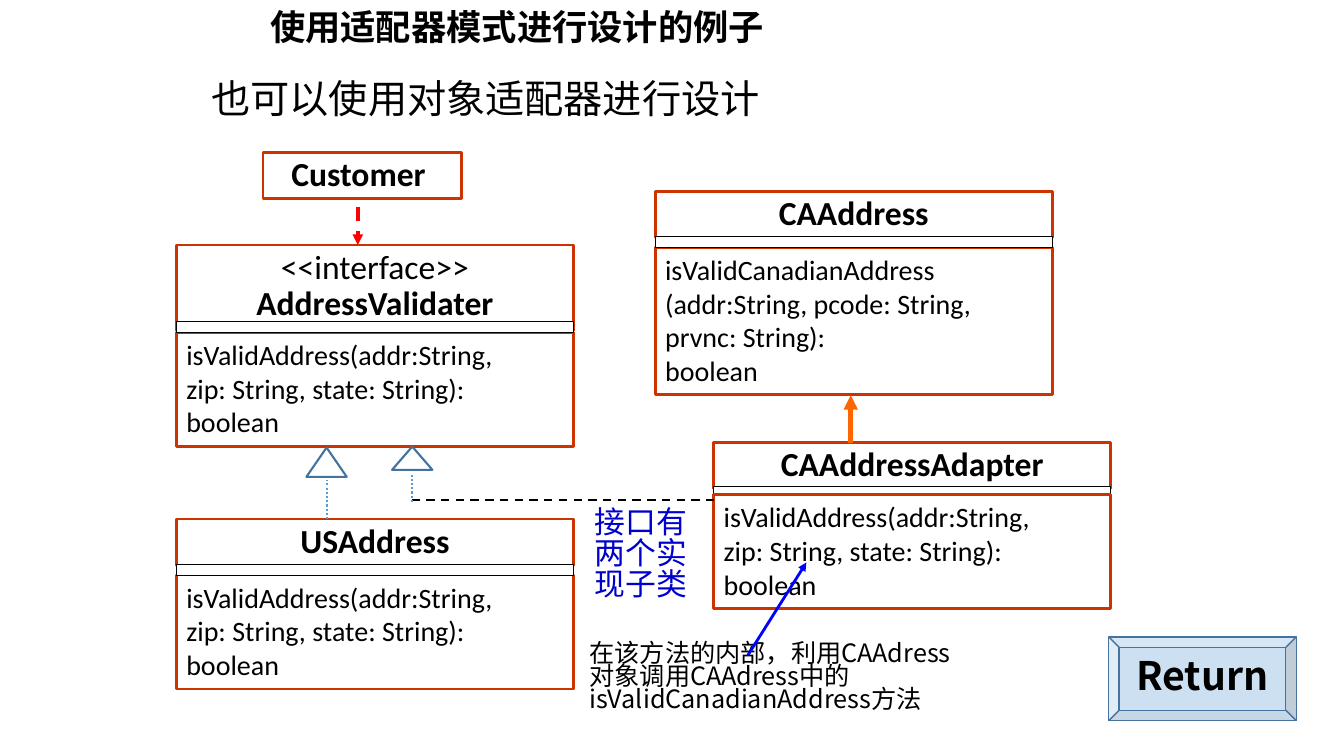
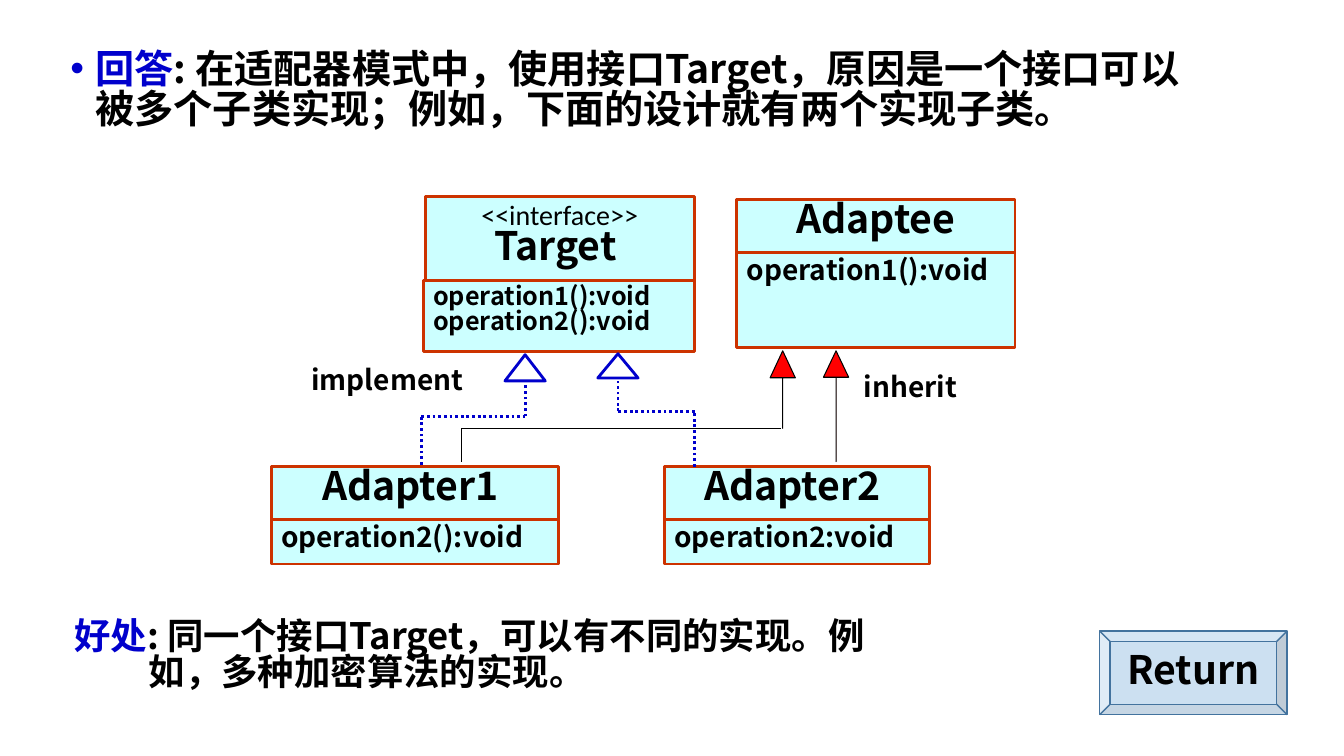
from dataclasses import dataclass
from itertools import pairwise

from lxml import etree
from pptx import Presentation
from pptx.dml.color import RGBColor
from pptx.enum import dml, shapes, text
from pptx.oxml import ns
from pptx.util import Pt


@dataclass(frozen=True)
class Theme:
    # Colours
    black: str = "000000"
    white: str = "FFFFFF"
    frame: str = "CC3300"
    cyan: str = "CCFFFF"
    blue: str = "0000CC"
    bright_blue: str = "0000FF"
    red: str = "FF0000"
    orange: str = "FF6600"
    button: str = "5B9BD5"
    button_edge: str = "43739E"
    # Fonts
    latin: str = "Calibri"
    chinese: str = "Noto Sans CJK SC"
    # Type sizes
    title: float = 25.2
    heading: float = 28
    benefit: float = 26
    name: float = 24
    remark: float = 22
    code: float = 20
    small: float = 18
    # Line spacing: the Chinese face has tall lines, so it is set tighter
    tight: float = 0.9
    chinese_leading: float = 0.84


T = Theme()
SHAPE = shapes.MSO_SHAPE
DASH = dml.MSO_LINE.DASH
DOT = dml.MSO_LINE.ROUND_DOT


def rgb(value):
    return RGBColor.from_string(value)


def sub(parent, tag, **attributes):
    return etree.SubElement(parent, ns.qn(tag), attributes)


# Text
def write(shape, paragraphs, size=T.code, font=T.latin, color=T.black, bold=False,
          align=text.PP_ALIGN.LEFT, spacing=1, anchor=text.MSO_ANCHOR.TOP,
          margin=0, hang=0, bullet=None):
    """Each paragraph is a string or a list of (string, format changes)."""
    frame = shape.text_frame
    frame.word_wrap = True
    frame.vertical_anchor = anchor
    frame.margin_left = frame.margin_right = Pt(7.2)
    frame.margin_top = frame.margin_bottom = Pt(3.6)
    for index, content in enumerate(paragraphs):
        paragraph = frame.add_paragraph() if index else frame.paragraphs[0]
        paragraph.alignment = align
        runs = [(content, {})] if isinstance(content, str) else content
        faces = [changes.get("font", font) for _, changes in runs]
        leading = T.chinese_leading if T.chinese in faces else 1
        paragraph.line_spacing = round(spacing * leading, 2)
        props = paragraph._p.get_or_add_pPr()
        if margin:
            props.set("marL", str(Pt(margin)))
            props.set("indent", str(-Pt(hang if index == 0 else 0)))
        if bullet:
            sub(props, "a:buFont", typeface="Arial")
            sub(props, "a:buChar", char=bullet)
        for words, changes in runs:
            style = dict(size=size, font=font, color=color, bold=bold) | changes
            run = paragraph.add_run()
            run.text = words
            run.font.size = Pt(style["size"])
            run.font.bold = style["bold"]
            run.font.name = style["font"]
            run.font.color.rgb = rgb(style["color"])
            sub(run._r.get_or_add_rPr(), "a:ea", typeface=T.chinese)
    return shape


def label(slide, box, paragraphs, **style):
    return write(slide.shapes.add_textbox(*map(Pt, box)), paragraphs, **style)


# Shapes and lines
def block(slide, box, kind=SHAPE.RECTANGLE, fill=T.white, line=T.frame, width=2):
    shape = slide.shapes.add_shape(kind, *map(Pt, box))
    shape.shadow.inherit = False
    if fill:
        shape.fill.solid()
        shape.fill.fore_color.rgb = rgb(fill)
    else:
        shape.fill.background()
    shape.line.color.rgb = rgb(line)
    shape.line.width = Pt(width)
    return shape


def route(slide, points, color=T.black, width=0.75, dash=None, arrow=False):
    """Straight connectors through the points, with an optional final arrowhead."""
    for start, end in pairwise(points):
        link = slide.shapes.add_connector(
            shapes.MSO_CONNECTOR.STRAIGHT, *map(Pt, start + end))
        link.line.color.rgb = rgb(color)
        link.line.width = Pt(width)
        if dash:
            link.line.dash_style = dash
        sub(link._element.spPr, "a:effectLst")
    if arrow:
        sub(link.line._get_or_add_ln(), "a:tailEnd", type="triangle")


def realization(slide, tip, height, points, color, line, width):
    """Hollow triangle under the tip, with a dotted route leading up to it."""
    x, y = tip
    block(slide, (x - 14.4, y, 28.8, height), SHAPE.FLOWCHART_EXTRACT,
          fill=None, line=line, width=width)
    route(slide, points + [(x, y + height + 2)], color, width, DOT)


def inheritance(slide, x, height, head):
    arrow = block(slide, (x - 9, 250.6, 18, height), SHAPE.UP_ARROW,
                  fill=T.red, line=T.black, width=0.75)
    arrow.adjustments[0] = 0
    arrow.adjustments[1] = head


def return_button(slide, x, y):
    button = block(slide, (x, y, 133.9, 59.8), SHAPE.BEVEL,
                   fill=T.button, line=T.button_edge, width=1)
    color = button._element.spPr.find(ns.qn("a:solidFill"))[0]
    sub(color, "a:alpha", val="31000")
    write(button, ["Return"], size=T.heading, font=T.chinese, bold=True,
          align=text.PP_ALIGN.CENTER, anchor=text.MSO_ANCHOR.MIDDLE)


# Class boxes
def name_box(slide, box, lines, fill=T.white, **style):
    write(block(slide, box, fill=fill), lines, align=text.PP_ALIGN.CENTER,
          spacing=T.tight, **dict(size=T.name, bold=True) | style)


def divided_class(slide, x, y, name, operations, name_height=33.1, divider=32.4,
                  operations_top=40, operations_height=81.4, operations_in_front=False):
    """Class with a narrow empty compartment between name and operations."""
    width = 283.7

    def draw_operations():
        box = (x, y + operations_top, width, operations_height)
        write(block(slide, box), operations)

    if not operations_in_front:
        draw_operations()
    name_box(slide, (x, y, width, name_height), name)
    block(slide, (x, y + divider, width, 7.9), line=T.black, width=0.75)
    if operations_in_front:
        draw_operations()


def tinted_class(slide, x, y, width, name, operations, name_height=37.8,
                 operations_height=31.7, size=T.code, outset=0):
    """Class with two compartments; outset widens the lower one to the left."""
    box = (x - outset, y + name_height, width + outset, operations_height)
    write(block(slide, box, fill=T.cyan), operations,
          size=size, font=T.chinese, bold=True)
    name_box(slide, (x, y, width, name_height), name, fill=T.cyan,
             size=T.heading, font=T.chinese)


# Slides
def object_adapter_slide(slide):
    label(slide, (185.8, 5.8, 606.2, 30.2), ["使用适配器模式进行设计的例子"],
          size=T.title, bold=True, spacing=T.tight, anchor=text.MSO_ANCHOR.MIDDLE)
    label(slide, (144, 56.9, 444.2, 37.4), ["也可以使用对象适配器进行设计"],
          size=T.heading, font=T.chinese, spacing=T.tight)

    # Classes
    validation = ["isValidAddress(addr:String,", "zip: String, state: String):", "boolean"]
    name_box(slide, (187.9, 108.7, 141.8, 33.1), ["Customer "])
    divided_class(slide, 126, 370.8, ["USAddress"], validation)
    divided_class(slide, 468, 136.8, ["CAAddress"],
                  ["isValidCanadianAddress",
                   "(addr:String, pcode: String, prvnc: String):", "boolean"],
                  operations_height=105.1)
    divided_class(slide, 509.8, 316.1, ["CAAddressAdapter"], validation,
                  divider=31.7, operations_top=37.4, operations_in_front=True)
    divided_class(slide, 126, 175, [[("<<interface>>", {"bold": False})], "AddressValidater"],
                  validation, name_height=61.2, divider=54.7, operations_top=62.6)

    # Relations
    route(slide, [(255.6, 147.6), (255.6, 175)], T.red, 2.5, DASH, arrow=True)
    route(slide, [(607.7, 316.1), (607.7, 282.2)], T.orange, 3.5, arrow=True)
    route(slide, [(294, 357.1), (511.9, 357.1)], width=1.5, dash=DASH)
    for tip, height, foot in [((233.3, 319.7), 20.9, 370.8), ((294.5, 319), 16.6, 358.6)]:
        realization(slide, tip, height, [(tip[0], foot)], T.button, T.button_edge, 1.5)

    # Remarks
    label(slide, (414, 456.5, 288, 66.2),
          ["在该方法的内部，利用CAAdress对象调用CAAdress中的isValidCanadianAddress方法"],
          size=T.small, font=T.chinese, spacing=T.tight)
    route(slide, [(534.2, 468), (576, 401.8)], T.bright_blue, 2, arrow=True)
    label(slide, (417.6, 360, 92.2, 87.1), ["接口有两个实现子类"],
          size=T.remark, font=T.chinese, color=T.blue)
    return_button(slide, 792, 455)


def target_interface_slide(slide):
    # Answer
    key = {"color": T.blue}
    label(slide, (43.2, 33.8, 825.8, 66.2),
          [[("回答", key), (": 在适配器模式中，使用接口Target，原因是一个接口可以被多个子类实现；"
                          "例如，下面的设计就有两个实现子类。", {})]],
          size=T.heading, font=T.chinese, bold=True, margin=18, hang=18, bullet="•")

    # Classes
    stereotype = {"size": T.code, "font": T.latin, "bold": False}
    tinted_class(slide, 303.8, 140.4, 192.2, [[("<<interface>>", stereotype)], "Target "],
                 ["operation1():void", "operation2():void"], name_height=59.8,
                 operations_height=51.1, size=T.small, outset=1.4)
    tinted_class(slide, 526.3, 142.6, 198.7, ["Adaptee"], ["operation1():void"],
                 operations_height=67.7)
    tinted_class(slide, 193.7, 333.4, 205.2, ["Adapter1 "], ["operation2():void"])
    tinted_class(slide, 474.5, 333.4, 189.4, ["Adapter2 "], ["operation2:void"])

    # Relations
    for box, word in [((609.8, 264.2, 95, 31.7), "inherit"),
                      ((215.3, 259.2, 144, 31.7), "implement")]:
        label(slide, box, [word], font=T.chinese, bold=True)
    inheritance(slide, 559.1, 55.4, 1.07)
    inheritance(slide, 597.2, 79.2, 1.05)
    route(slide, [(329.8, 329.8), (329.8, 306), (558, 306)])
    for tip, height, points in [
            ((375.1, 253.4), 18.7, [(301, 331.9), (301, 297.4), (375.1, 297.4)]),
            ((441.4, 252.7), 17.3, [(496.1, 333.4), (496.1, 293.8), (441.4, 293.8)])]:
        realization(slide, tip, height, points, T.blue, T.blue, 2)

    # Benefit
    label(slide, (46.1, 439.2, 606.2, 72),
          [[("好处", key), (": 同一个接口Target，可以有不同的实现。例", {})],
           "如，多种加密算法的实现。"],
          size=T.benefit, font=T.chinese, bold=True, margin=53, hang=53)
    return_button(slide, 785.5, 450.7)


def main():
    deck = Presentation()
    deck.slide_width, deck.slide_height = Pt(960), Pt(540)
    for build in (object_adapter_slide, target_interface_slide):
        build(deck.slides.add_slide(deck.slide_layouts[6]))
    deck.save("out.pptx")


if __name__ == "__main__":
    main()
